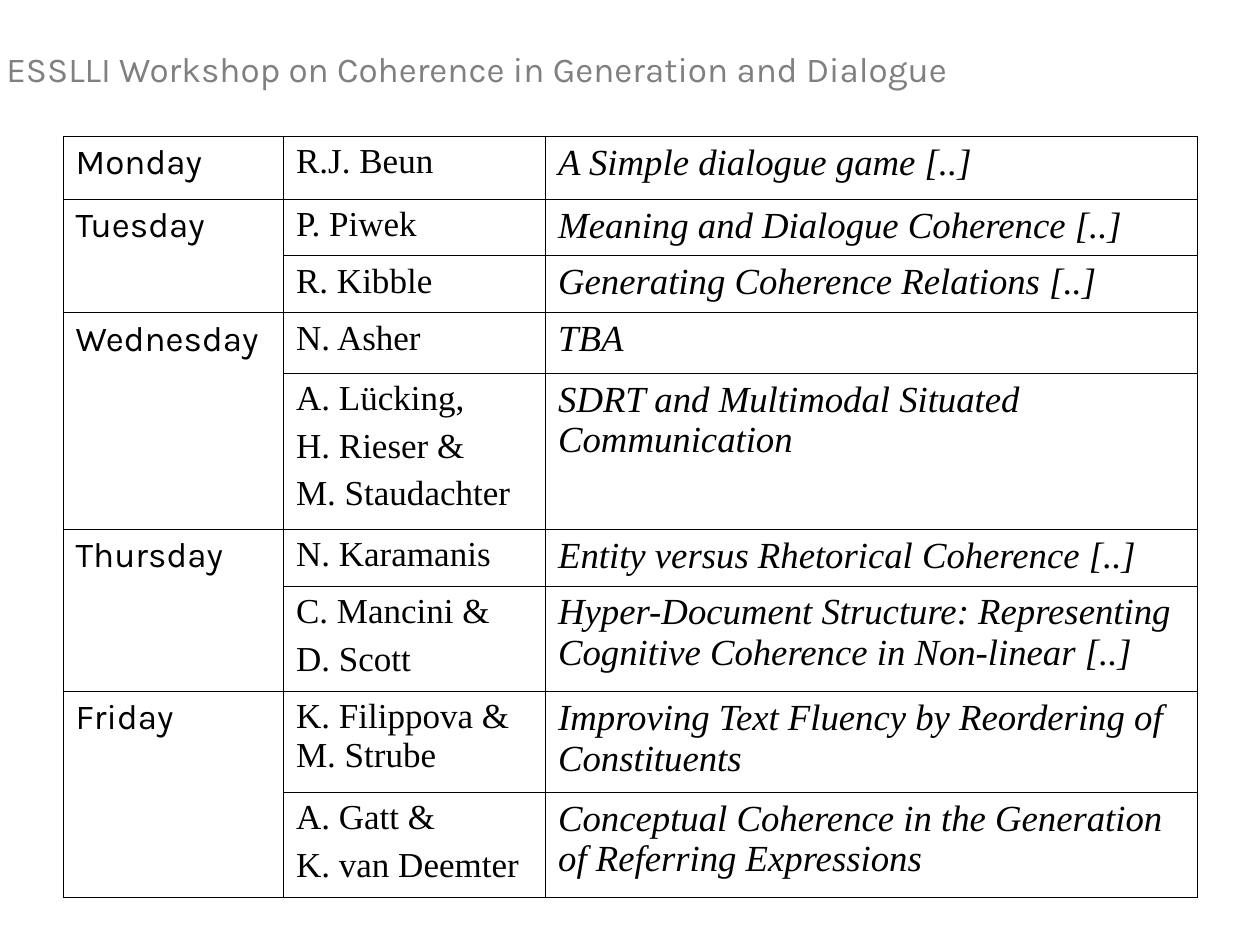
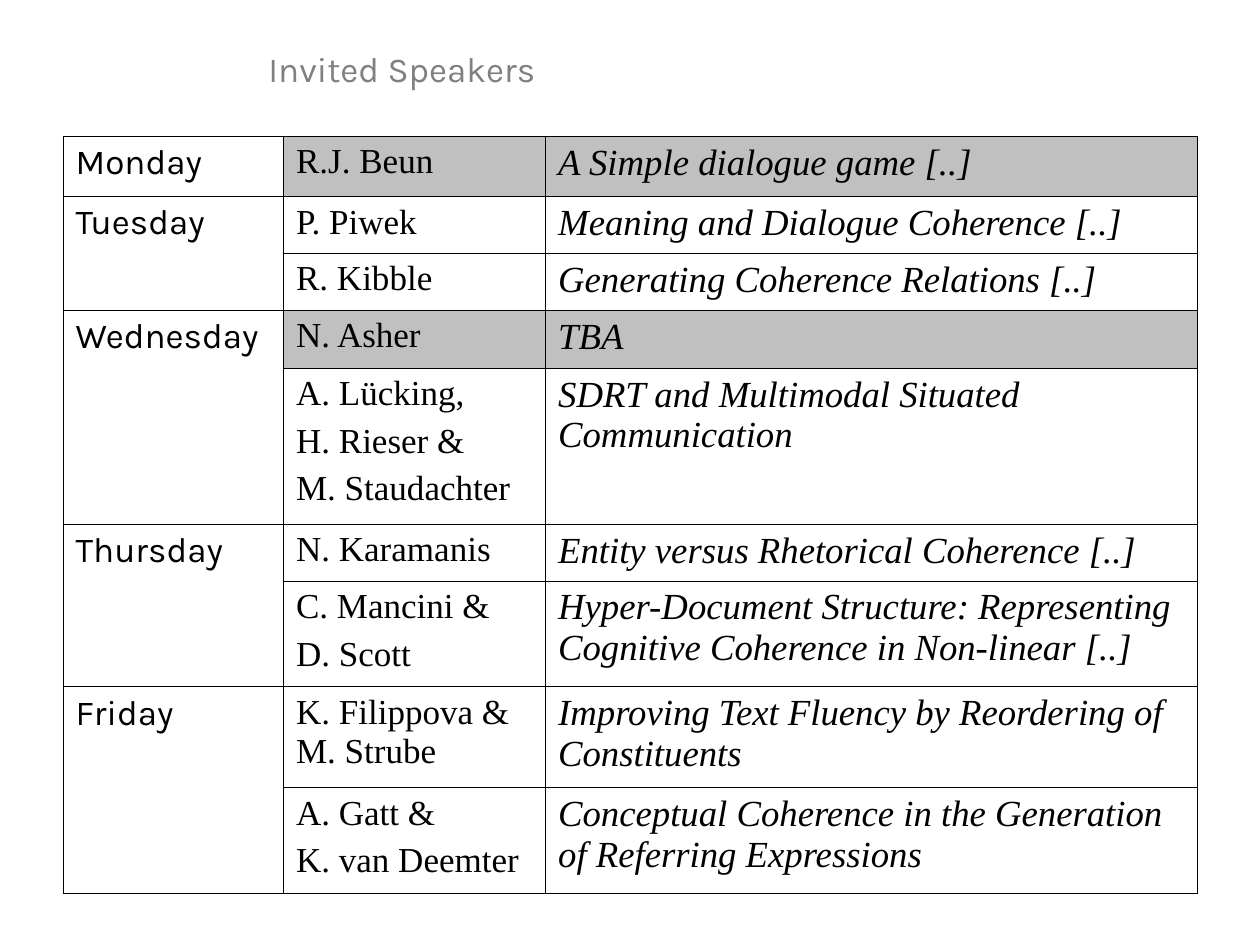
from itertools import groupby

from pptx import Presentation
from pptx.dml.color import RGBColor
from pptx.enum.text import MSO_ANCHOR, MSO_AUTO_SIZE, PP_ALIGN
from pptx.oxml.xmlchemy import OxmlElement
from pptx.util import Inches, Pt

BLACK = RGBColor(0x00, 0x00, 0x00)
GREY = RGBColor(0x80, 0x80, 0x80)
SILVER = RGBColor(0xC0, 0xC0, 0xC0)

HEAD_FONT, BODY_FONT = "Karla", "Times New Roman"
BORDER = Pt(0.45)

TABLE_LEFT, TABLE_TOP = 0.5, 1.08
COLUMNS = [1.75, 2.08, 5.17]
TITLE_TOP, TITLE_HEIGHT = 0.33, 0.44

# Day, speakers (one paragraph per line), talk
TALKS = [
    ("Monday", "R.J. Beun", "A Simple dialogue game [..]"),
    ("Tuesday", "P. Piwek", "Meaning and Dialogue Coherence [..]"),
    ("Tuesday", "R. Kibble", "Generating Coherence Relations [..]"),
    ("Wednesday", "N. Asher", "TBA"),
    ("Wednesday", "A. Lücking,\nH. Rieser &\nM. Staudachter",
     "SDRT and Multimodal Situated Communication"),
    ("Thursday", "N. Karamanis", "Entity versus Rhetorical Coherence [..]"),
    ("Thursday", "C. Mancini &\nD. Scott",
     "Hyper-Document Structure: Representing Cognitive Coherence "
     "in Non-linear [..]"),
    ("Friday", "K. Filippova & M. Strube",
     "Improving Text Fluency by Reordering of Constituents"),
    ("Friday", "A. Gatt &\nK. van Deemter",
     "Conceptual Coherence in the Generation of Referring Expressions"),
]

# Title, its left edge and width, row heights, invited speakers
SLIDES = [
    ("ESSLLI Workshop on Coherence in Generation and Dialogue", -0.05, 8.02,
     [0.5, 0.45, 0.45, 0.48, 1.23, 0.45, 0.83, 0.8, 0.83], ()),
    ("Invited Speakers", 2.03, 2.37,
     [0.48, 0.45, 0.45, 0.46, 1.24, 0.45, 0.84, 0.8, 0.84],
     ("R.J. Beun", "N. Asher")),
]


def style(p, font, size, color=BLACK, italic=False, before=0):
    p.font.name = font
    p.font.size = Pt(size)
    p.font.color.rgb = color
    p.font.italic = italic
    p.space_before = Pt(before)


def add_title(s, text, left, width):
    sp = s.shapes.title
    sp.left, sp.top = Inches(left), Inches(TITLE_TOP)
    sp.width, sp.height = Inches(width), Inches(TITLE_HEIGHT)
    tf = sp.text_frame
    tf.text = text
    tf.word_wrap = False
    tf.auto_size = MSO_AUTO_SIZE.SHAPE_TO_FIT_TEXT
    tf.vertical_anchor = MSO_ANCHOR.TOP
    p = tf.paragraphs[0]
    p.alignment = PP_ALIGN.LEFT
    style(p, HEAD_FONT, 20, GREY)


def set_borders(cell):
    tcPr = cell._tc.get_or_add_tcPr()
    for side in ("L", "R", "T", "B"):
        ln = OxmlElement(f"a:ln{side}")
        ln.set("w", str(BORDER))
        fill = OxmlElement("a:solidFill")
        color = OxmlElement("a:srgbClr")
        color.set("val", str(BLACK))
        fill.append(color)
        ln.append(fill)
        tcPr.append(ln)


def format_cell(cell, shaded):
    set_borders(cell)
    if shaded:
        cell.fill.solid()
        cell.fill.fore_color.rgb = SILVER
    else:
        cell.fill.background()


def write_cell(cell, text, *args, **kwargs):
    cell.text = text
    for p in cell.text_frame.paragraphs:
        style(p, *args, **kwargs)


def add_programme(s, heights, invited):
    frame = s.shapes.add_table(
        len(TALKS), len(COLUMNS), Inches(TABLE_LEFT), Inches(TABLE_TOP),
        Inches(sum(COLUMNS)), Inches(sum(heights)))
    table = frame.table
    table.first_row = table.horz_banding = False
    for column, width in zip(table.columns, COLUMNS):
        column.width = Inches(width)

    # Speakers and talks
    for i, (_, speakers, talk) in enumerate(TALKS):
        table.rows[i].height = Inches(heights[i])
        for j in range(len(COLUMNS)):
            format_cell(table.cell(i, j), j > 0 and speakers in invited)
        write_cell(table.cell(i, 1), speakers, BODY_FONT, 20, before=5)
        write_cell(table.cell(i, 2), talk, BODY_FONT, 21, italic=True,
                   before=5.2)

    # Each day spans its talks
    for day, rows in groupby(range(len(TALKS)), key=lambda i: TALKS[i][0]):
        rows = list(rows)
        first = table.cell(rows[0], 0)
        if len(rows) > 1:
            first.merge(table.cell(rows[-1], 0))
        write_cell(first, day, HEAD_FONT, 20)


def main():
    prs = Presentation()
    prs.slide_width, prs.slide_height = Inches(10), Inches(7.5)
    title_only = prs.slide_layouts[5]
    for title, left, width, heights, invited in SLIDES:
        s = prs.slides.add_slide(title_only)
        add_title(s, title, left, width)
        add_programme(s, heights, invited)
    prs.save("out.pptx")


if __name__ == "__main__":
    main()
